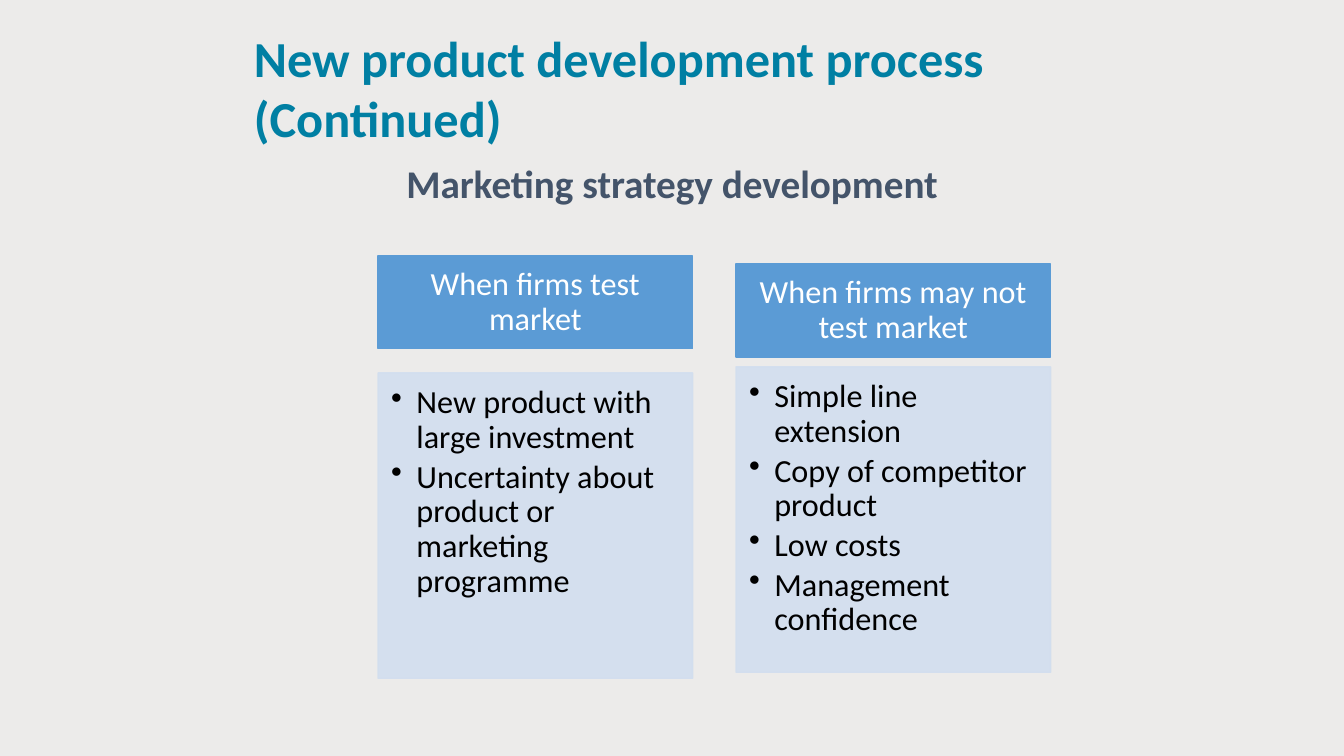
import dataclasses

import pptx
import pptx.dml.color
import pptx.enum.shapes
import pptx.enum.text
import pptx.oxml
import pptx.oxml.ns
import pptx.util

Inches = pptx.util.Inches
Pt = pptx.util.Pt
Align = pptx.enum.text.PP_ALIGN
Anchor = pptx.enum.text.MSO_ANCHOR


@dataclasses.dataclass(frozen=True)
class Theme:
    """Colours, font and type sizes of the slide."""
    font: str = "Calibri"
    background: str = "ECEBEA"
    title: str = "007FA3"
    subtitle: str = "44546A"
    header: str = "5B9BD5"
    header_text: str = "FFFFFF"
    panel: str = "D2DEEF"
    panel_text: str = "000000"
    title_size: int = 36
    subtitle_size: int = 28
    body_size: int = 23


THEME = Theme()
COLUMN_WIDTH, HEADER_HEIGHT, PANEL_HEIGHT = 3.12, 0.92, 3.03
COLUMNS = [
    (3.75, 2.54, 3.7, "When firms test market",
     ["New product with large investment",
      "Uncertainty about product or marketing programme"]),
    (7.3, 2.62, 3.64, "When firms may not test market",
     ["Simple line extension", "Copy of competitor product",
      "Low costs", "Management confidence"]),
]


def rgb(value):
    """Return a colour object for a hex value."""
    return pptx.dml.color.RGBColor.from_string(value)


def add_bullet(p):
    """Give a paragraph a hanging round bullet."""
    pPr = p._p.get_or_add_pPr()
    pPr.set("marL", str(Inches(0.25)))
    pPr.set("indent", str(Inches(-0.25)))
    pPr.append(pptx.oxml.parse_xml(
        f'<a:buChar {pptx.oxml.ns.nsdecls("a")} char="•"/>'))


def write_text(sp, lines, *, size, color, bold=False, align=Align.LEFT,
               anchor=Anchor.TOP, insets=(0.1, 0.05, 0.1, 0.05),
               line_spacing=0.9, space_after=0, bullets=False):
    """Fill a shape with formatted paragraphs."""
    tf = sp.text_frame
    tf.word_wrap = True
    tf.vertical_anchor = anchor
    tf.margin_left, tf.margin_top, tf.margin_right, tf.margin_bottom = map(Inches, insets)
    for i, line in enumerate(lines):
        p = tf.paragraphs[0] if i == 0 else tf.add_paragraph()
        p.alignment = align
        p.line_spacing = line_spacing
        p.space_after = Pt(space_after)
        if bullets:
            add_bullet(p)
        r = p.add_run()
        r.text = line
        r.font.name = THEME.font
        r.font.size = Pt(size)
        r.font.bold = bold
        r.font.color.rgb = rgb(color)


def add_text(s, box, text, **style):
    """Add a text box holding one paragraph."""
    write_text(s.shapes.add_textbox(*map(Inches, box)), [text], **style)


def set_opacity(fill, percent):
    """Make a solid fill partly transparent."""
    color = fill._xPr.find(".//" + pptx.oxml.ns.qn("a:srgbClr"))
    color.append(pptx.oxml.parse_xml(
        f'<a:alpha {pptx.oxml.ns.nsdecls("a")} val="{percent * 1000}"/>'))


def add_block(s, box, lines, fill, opacity=100, **style):
    """Add a filled rectangle with text."""
    sp = s.shapes.add_shape(
        pptx.enum.shapes.MSO_SHAPE.RECTANGLE, *map(Inches, box))
    sp.shadow.inherit = False
    sp.line.width = Pt(1)
    for paint in (sp.fill, sp.line.fill):
        paint.solid()
        paint.fore_color.rgb = rgb(fill)
        if opacity < 100:
            set_opacity(paint, opacity)
    write_text(sp, lines, size=THEME.body_size, **style)


def add_column(s, left, header_top, panel_top, heading, points):
    """Add a heading block and its bulleted panel."""
    add_block(s, (left, header_top, COLUMN_WIDTH, HEADER_HEIGHT), [heading],
              THEME.header, color=THEME.header_text, align=Align.CENTER,
              anchor=Anchor.MIDDLE, insets=(0.18, 0.1, 0.18, 0.1))
    add_block(s, (left, panel_top, COLUMN_WIDTH, PANEL_HEIGHT), points,
              THEME.panel, opacity=90, color=THEME.panel_text,
              insets=(0.13, 0.13, 0.18, 0.2),
              space_after=0.15 * THEME.body_size, bullets=True)


def main():
    """Build and save the slide."""
    prs = pptx.Presentation()
    prs.slide_width, prs.slide_height = Inches(13.33), Inches(7.5)
    s = prs.slides.add_slide(prs.slide_layouts[6])
    s.background.fill.solid()
    s.background.fill.fore_color.rgb = rgb(THEME.background)
    add_text(s, (2.42, 0.24, 9, 1.25),
             "New product development process (Continued)",
             size=THEME.title_size, color=THEME.title, bold=True,
             anchor=Anchor.MIDDLE, line_spacing=1.0)
    add_text(s, (2.75, 1.58, 7.83, 0.54), "Marketing strategy development",
             size=THEME.subtitle_size, color=THEME.subtitle, bold=True,
             align=Align.CENTER)
    for column in COLUMNS:
        add_column(s, *column)
    prs.save("out.pptx")


if __name__ == "__main__":
    main()
